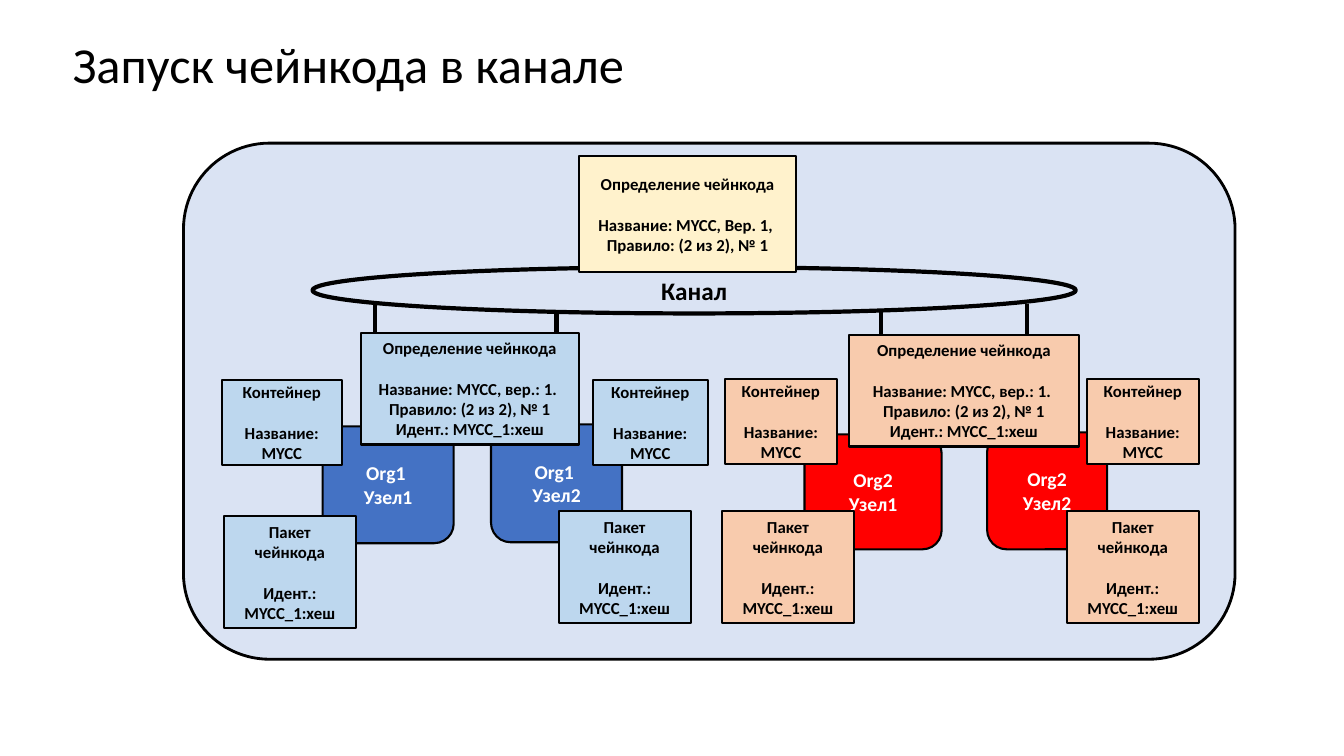
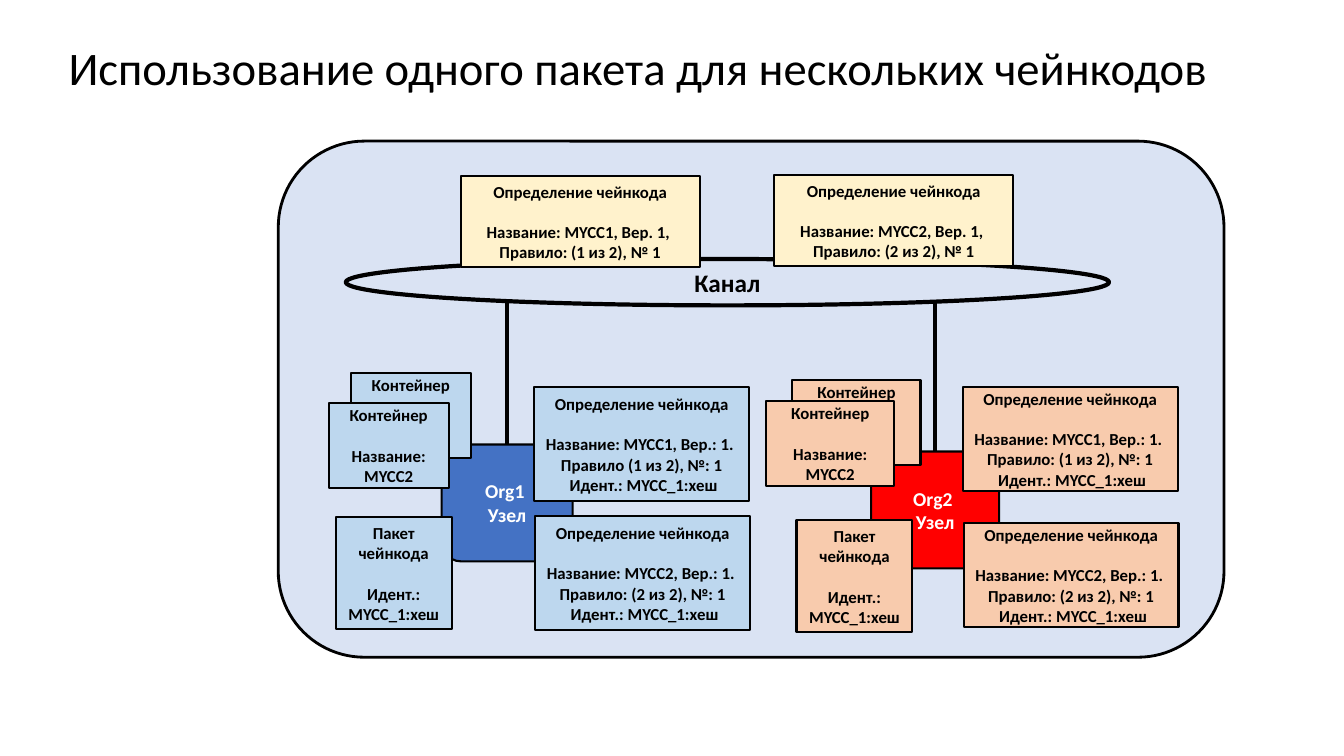
from dataclasses import dataclass

from lxml import etree
from pptx import Presentation, util as u
from pptx.dml.color import RGBColor
from pptx.enum import shapes, text
from pptx.oxml.ns import qn

COLS, ROWS = 133.3, 75      # grid of the slide
CELL = u.Inches(0.1)        # one grid cell, both ways
KIND = shapes.MSO_SHAPE


@dataclass(frozen=True)
class Theme:
    font: str = "Calibri"
    ink: str = "000000"
    pale: str = "FFFFFF"
    panel: str = "DAE3F3"
    shared: str = "FFF2CC"
    peers: tuple = ("4472C4", "FF0000")     # one per organisation
    boxes: tuple = ("BDD7EE", "F8CBAD")
    note: float = 12
    peer: float = 14
    label: float = 18
    gap: float = 14.6       # one line of note text
    thin: float = 1.5
    edge: float = 2
    thick: float = 3


T = Theme()


def grid(*cells):
    return [round(c * CELL) for c in cells]


def rgb(code):
    return RGBColor.from_string(code)


# Text: each line is a paragraph with one run
def write(frame, lines, size, color=T.ink, bold=True, gap=0):
    frame.word_wrap = True
    frame.vertical_anchor = text.MSO_ANCHOR.MIDDLE
    for i, line in enumerate(lines):
        para = frame.add_paragraph() if i else frame.paragraphs[0]
        para.alignment = text.PP_ALIGN.CENTER
        if i == 1:
            para.space_before = u.Pt(gap)
        run = para.add_run()
        run.text = line
        run.font.name = T.font
        run.font.size = u.Pt(size)
        run.font.bold = bold
        run.font.color.rgb = rgb(color)


def shape(slide, kind, at, fill=None, width=T.thin):
    item = slide.shapes.add_shape(kind, *grid(*at))
    item.shadow.inherit = False
    if fill:
        item.fill.solid()
        item.fill.fore_color.rgb = rgb(fill)
    else:
        item.fill.background()
    item.line.color.rgb = rgb(T.ink)
    item.line.width = u.Pt(width)
    return item


# Frame of a slide
def title(slide, words, left, top, size):
    frame = slide.shapes.add_textbox(*grid(left, top, 115, 9.5)).text_frame
    frame.margin_left = frame.margin_right = u.Inches(0.05)
    write(frame, [words], size, bold=False)
    frame.paragraphs[0].alignment = text.PP_ALIGN.LEFT
    frame.paragraphs[0].line_spacing = 0.9


def panel(slide, left, top, wide):
    shape(slide, KIND.ROUNDED_RECTANGLE, (left, top, wide, 51.2), T.panel, T.edge)


def channel(slide, left, top):
    oval = shape(slide, KIND.OVAL, (left, top, 75.7, 4.6), width=T.thick)
    write(oval.text_frame, ["Канал"], T.label)


def link(slide, x, top, end):
    line = slide.shapes.add_connector(
        shapes.MSO_CONNECTOR.STRAIGHT, *grid(x, top, x, end))
    line.line.color.rgb = rgb(T.ink)
    line.line.width = u.Pt(T.thick)
    etree.SubElement(line._element.spPr, qn("a:effectLst"))


# Parts of the network
def peer(slide, org, at, *lines):
    item = shape(slide, KIND.ROUNDED_RECTANGLE, at, T.peers[org])
    write(item.text_frame, lines, T.peer, T.pale)


def card(slide, fill, at, head, *lines):
    item = shape(slide, KIND.RECTANGLE, at, fill)
    write(item.text_frame, [head, *lines], T.note, gap=T.gap)


def pack(slide, org, at):
    card(slide, T.boxes[org], at, "Пакет чейнкода", "Идент.: MYCC_1:хеш")


def box(slide, org, at, name):
    card(slide, T.boxes[org], at, "Контейнер", f"Название: {name}")


def define(slide, fill, at, name, rule, *ident):
    card(slide, fill, at, "Определение чейнкода",
         f"Название: {name} ", f"Правило{rule}", *ident)


def launch(slide):
    panel(slide, 18.2, 14.2, 104.3)
    title(slide, "Запуск чейнкода в канале", 6.7, 1.9, 36)
    for x, top, end in ((37.2, 30.2, 41.4), (55.2, 30.9, 42.1),
                        (87.4, 30.9, 42.1), (101.9, 30.2, 47.2)):
        link(slide, x, top, end)
    channel(slide, 31, 26.5)

    # Peers
    peer(slide, 0, (32, 42.3, 13, 11.6), "Org1 ", "Узел1")
    peer(slide, 0, (48.7, 42.1, 13, 11.7), "Org1 ", "Узел2")
    peer(slide, 1, (79.8, 43.1, 13.6, 11.4), "Org2", "Узел1")
    peer(slide, 1, (97.9, 42.9, 11.9, 11.6), "Org2 Узел2")

    # Packages and containers
    for org, x, y in ((0, 22.2, 51.2), (0, 55.4, 50.7),
                      (1, 71.6, 50.7), (1, 105.8, 50.7)):
        pack(slide, org, (x, y, 13.1, 11.1))
    for org, x, y, wide in ((0, 22, 37.7, 11.9), (0, 58.8, 37.7, 11.4),
                            (1, 71.9, 37.6, 11.1), (1, 107.8, 37.6, 11.1)):
        box(slide, org, (x, y, wide, 8.4), "MYCC")

    # Definitions
    rule = ": (2 из 2), № 1"
    define(slide, T.shared, (57.4, 15.5, 21.6, 11.5), "MYCC, Вер. 1,", rule)
    for org, at in enumerate(((35.8, 33, 21.6, 11.1), (84.2, 33.2, 22.8, 11.1))):
        define(slide, T.boxes[org], at, "MYCC, вер.: 1.", rule,
               "Идент.: MYCC_1:хеш")


def reuse(slide):
    panel(slide, 27.6, 14, 93.8)
    title(slide, "Использование одного пакета для нескольких чейнкодов",
          6.3, 2.2, 33.3)
    link(slide, 50.3, 29.7, 44.1)
    link(slide, 92.7, 30, 44.8)
    channel(slide, 34.3, 25.7)

    # Peers and packages
    peer(slide, 0, (43.8, 44.1, 13, 11.6), "Org1 ", "Узел")
    peer(slide, 1, (86.4, 44.8, 12.7, 11.6), "Org2 ", "Узел")
    pack(slide, 0, (33.3, 51.3, 11.5, 11.1))
    pack(slide, 1, (79, 51.6, 11.5, 11.1))

    # Containers, the second one in front
    for org, x, y, wide, name in ((0, 34.8, 37, 11.9, "MYCC1"),
                                  (0, 32.6, 40, 11.9, "MYCC2"),
                                  (1, 78.6, 37.7, 12.7, "MYCC1"),
                                  (1, 76, 39.8, 12.7, "MYCC2")):
        box(slide, org, (x, y, wide, 8.4), name)

    # Definitions in the channel
    for i, (x, y) in enumerate(((45.7, 17.5), (76.8, 17.4)), 1):
        define(slide, T.shared, (x, y, 23.7, 9), f"MYCC{i}, Вер. 1,",
               f": ({i} из 2), № 1")

    # Definitions of each organisation
    for org, x, y, high, num, mark in ((0, 53, 38.4, 11.3, 1, ""),
                                       (0, 53.1, 51.2, 11.3, 2, ":"),
                                       (1, 95.5, 38.4, 10.3, 1, ":"),
                                       (1, 95.6, 51.9, 10.3, 2, ":")):
        define(slide, T.boxes[org], (x, y, 21.3, high), f"MYCC{num}, Вер.: 1.",
               f"{mark} ({num} из 2), №: 1", " Идент.: MYCC_1:хеш")


def main():
    deck = Presentation()
    deck.slide_width, deck.slide_height = grid(COLS, ROWS)
    for draw in (launch, reuse):
        draw(deck.slides.add_slide(deck.slide_layouts[6]))
    deck.save("out.pptx")


main()
